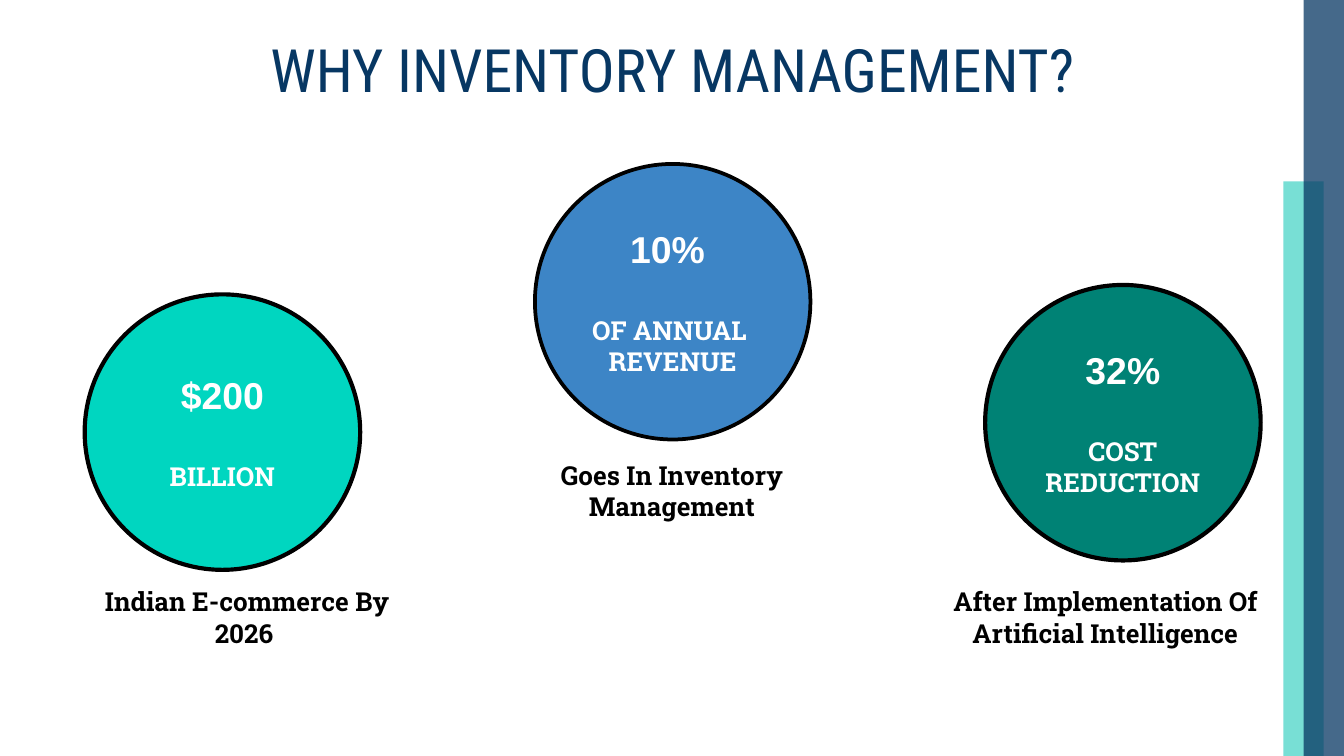
from lxml.etree import SubElement
from pptx import Presentation
from pptx.dml.color import RGBColor
from pptx.enum.shapes import MSO_SHAPE
from pptx.enum.text import MSO_ANCHOR, PP_ALIGN
from pptx.oxml.ns import qn
from pptx.util import Pt

EMU_PER_PX = 4572
SLIDE_WIDTH, SLIDE_HEIGHT = 2000, 1125
INSET = 20
NAVY, TEAL, BLACK, WHITE = "073763", "00C3B1", "000000", "FFFFFF"
CIRCLE_SIZE, CIRCLE_LEFT, CIRCLE_STEP = 410, 126, 670

HEADING = {"name": "Roboto Condensed", "size": Pt(32), "bold": False}
FIGURE = {"name": "Arial", "size": Pt(20), "bold": True}
LABEL = {"name": "Roboto Slab", "size": Pt(14), "bold": True}

FACTS = [
    {"top": 438, "color": "00D6C0", "border": 2.25, "figure": "$200",
     "labels": ["BILLION"], "caption": "Indian E-commerce By 2026 ",
     "caption_box": (136, 876, 464, 84)},
    {"top": 244, "color": "3D85C6", "border": 2, "figure": "10% ",
     "labels": ["OF ANNUAL ", "REVENUE"], "caption": "Goes In Inventory Management",
     "caption_box": (768, 688, 464, 84)},
    {"top": 424, "color": "008275", "border": 2.25, "figure": "32%",
     "labels": ["COST REDUCTION"],
     "caption": "After Implementation Of Artificial Intelligence",
     "caption_box": (1386, 876, 518, 84)},
]


def px(*lengths):
    return [length * EMU_PER_PX for length in lengths]


def rgb(color):
    return RGBColor.from_string(color)


class SlideBuilder:
    """Hold the text style and the current slide, and add its elements."""

    def __init__(self, slide):
        self.slide = slide
        self.frame_format = {"word_wrap": True, "vertical_anchor": MSO_ANCHOR.MIDDLE}
        for side in ("left", "top", "right", "bottom"):
            self.frame_format[f"margin_{side}"] = INSET * EMU_PER_PX

    def fill_text(self, frame, lines, color):
        for name, value in self.frame_format.items():
            setattr(frame, name, value)
        for index, (text, font_format, gap) in enumerate(lines):
            paragraph = frame.add_paragraph() if index else frame.paragraphs[0]
            paragraph.alignment = PP_ALIGN.CENTER
            paragraph.space_before = Pt(gap)
            run = paragraph.add_run()
            run.text = text
            for name, value in font_format.items():
                setattr(run.font, name, value)
            run.font.color.rgb = rgb(color)

    def shape(self, kind, box, color):
        shape = self.slide.shapes.add_shape(kind, *px(*box))
        shape.shadow.inherit = False
        shape.fill.solid()
        shape.fill.fore_color.rgb = rgb(color)
        return shape

    def bar(self, box, color, opacity):
        shape = self.shape(MSO_SHAPE.RECTANGLE, box, color)
        shape.line.fill.background()
        fill_color = shape.element.spPr.find(f"{qn('a:solidFill')}/{qn('a:srgbClr')}")
        SubElement(fill_color, qn("a:alpha"), val=str(opacity * 1000))

    def circle(self, left, top, color, border, figure, labels):
        box = (left, top, CIRCLE_SIZE, CIRCLE_SIZE)
        shape = self.shape(MSO_SHAPE.OVAL, box, color)
        shape.line.color.rgb = rgb(BLACK)
        shape.line.width = Pt(border)
        lines = [(figure, FIGURE, 0)]
        lines += [(label, LABEL, 0 if index else 23) for index, label in enumerate(labels)]
        self.fill_text(shape.text_frame, lines, WHITE)

    def text(self, box, text, font_format, color):
        shape = self.slide.shapes.add_textbox(*px(*box))
        self.fill_text(shape.text_frame, [(text, font_format, 0)], color)


def main():
    presentation = Presentation()
    presentation.slide_width, presentation.slide_height = px(SLIDE_WIDTH, SLIDE_HEIGHT)
    builder = SlideBuilder(presentation.slides.add_slide(presentation.slide_layouts[6]))

    builder.bar((1910, 270, 60, 855), TEAL, 53)
    builder.bar((1940, 0, 60, SLIDE_HEIGHT), NAVY, 75)
    builder.text((158, 58, 1686, 88), "WHY INVENTORY MANAGEMENT?", HEADING, NAVY)
    for index, fact in enumerate(FACTS):
        builder.circle(CIRCLE_LEFT + index * CIRCLE_STEP, fact["top"], fact["color"],
                       fact["border"], fact["figure"], fact["labels"])
        builder.text(fact["caption_box"], fact["caption"], LABEL, BLACK)

    presentation.save("out.pptx")


if __name__ == "__main__":
    main()
